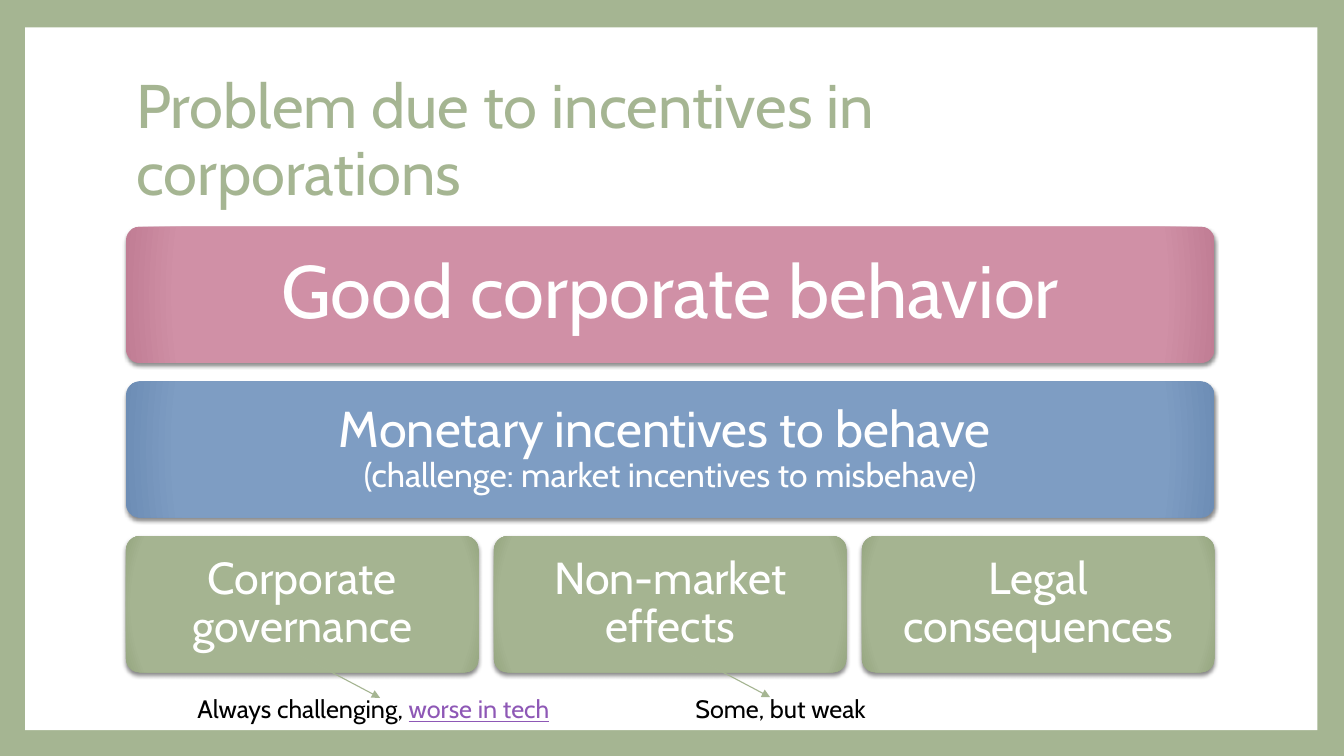
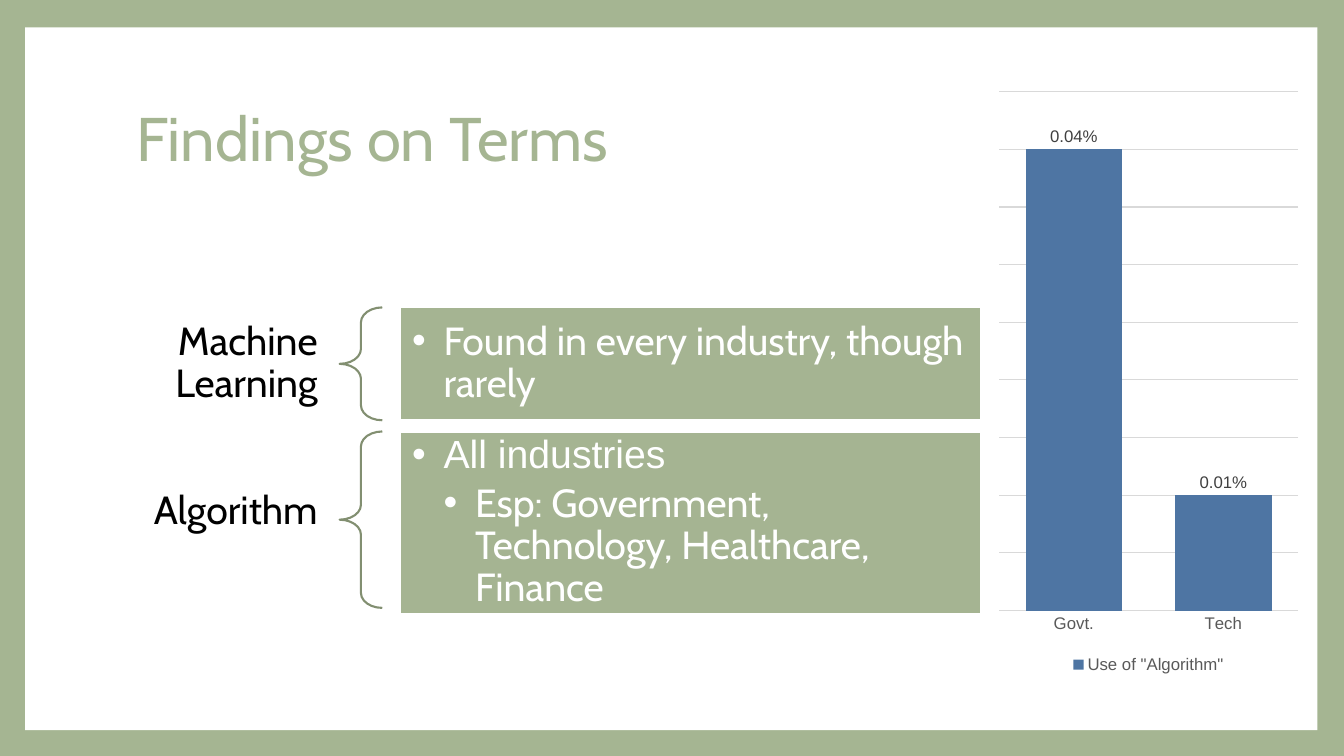
from lxml import etree
from pptx import Presentation
from pptx.chart.data import CategoryChartData
from pptx.dml.color import RGBColor
from pptx.enum.chart import XL_CHART_TYPE, XL_LABEL_POSITION, XL_LEGEND_POSITION, XL_TICK_MARK
from pptx.enum.shapes import MSO_CONNECTOR, MSO_SHAPE
from pptx.enum.text import MSO_ANCHOR, MSO_AUTO_SIZE, PP_ALIGN
from pptx.oxml.ns import qn
from pptx.util import Pt

RECT, ROUND, BRACE = MSO_SHAPE.RECTANGLE, MSO_SHAPE.ROUNDED_RECTANGLE, MSO_SHAPE.LEFT_BRACE
LEFT, MID, RIGHT = PP_ALIGN.LEFT, PP_ALIGN.CENTER, PP_ALIGN.RIGHT
TOP, CENTER = MSO_ANCHOR.TOP, MSO_ANCHOR.MIDDLE
FIXED = MSO_AUTO_SIZE.NONE
LINE = MSO_CONNECTOR.STRAIGHT
COLUMN = XL_CHART_TYPE.COLUMN_CLUSTERED
ABOVE, BELOW = XL_LABEL_POSITION.OUTSIDE_END, XL_LEGEND_POSITION.BOTTOM
NO_TICK = XL_TICK_MARK.NONE

SAGE = RGBColor(0xA5, 0xB5, 0x92)
LEAF = RGBColor(0xA5, 0xB4, 0x92)
MOSS = RGBColor(0x82, 0x8F, 0x71)
WHITE = RGBColor(0xFF, 0xFF, 0xFF)
BLACK = RGBColor(0, 0, 0)
VIOLET = RGBColor(0x8E, 0x58, 0xB6)
BLUE = RGBColor(0x4E, 0x75, 0xA3)
DARK = RGBColor(0x40, 0x40, 0x40)
GREY = RGBColor(0x59, 0x59, 0x59)
PALE = RGBColor(0xD9, 0xD9, 0xD9)
PINKS = [RGBColor(0xCF, 0x92, 0xA7), RGBColor(0xD0, 0x90, 0xA6), RGBColor(0xC0, 0x7D, 0x94)]
BLUES = [RGBColor(0x80, 0x9E, 0xC2), RGBColor(0x7E, 0x9D, 0xC3), RGBColor(0x6D, 0x8D, 0xB5)]
GREENS = [LEAF, RGBColor(0xA5, 0xB4, 0x91), RGBColor(0x95, 0xA5, 0x7F)]
STOPS = [0, 90, 100]

FONT, PLAIN = "Cabin", "Arial"
EDGE, SPAN = 90, 777.6

TIERS = [
    (PINKS, 53, 16, [["Good corporate behavior"]]),
    (BLUES, 36, 11, [[
        "Monetary incentives to behave ",
        "\n",
        ("(challenge: market incentives to misbehave)", {"size": 24}),
    ]]),
    (GREENS, 32, 9.4, [
        ["Corporate governance"],
        ["Non-market effects"],
        ["Legal consequences"],
    ]),
]
NOTES = [
    ((211, 466.5), 134, ["Always challenging, ", ("worse in tech", {"color": VIOLET, "under": True})]),
    ((489.6, 466), 489.6, ["Some, but weak"]),
]
TERMS = [
    {"name": "Machine Learning", "mid": 260, "top": 219.6, "brace": 80.6, "box": 80.6,
     "items": [(1, "Found in every industry, though rarely", FONT)]},
    {"name": "Algorithm", "mid": 365.5, "top": 308.2, "brace": 126, "box": 130.3,
     "items": [(1, "All industries", PLAIN),
               (2, "Esp: Government, Technology, Healthcare, Finance", FONT)]},
]
USES = {"Govt.": 0.0004, "Tech": 0.0001}


def node(up, tag, **attrs):
    return etree.SubElement(up, qn(tag), {k: str(v) for k, v in attrs.items()})


def props(shape):
    return shape.element.find(qn("p:spPr"))


def place(shape, x, y, w, h):
    shape.left, shape.top, shape.width, shape.height = Pt(x), Pt(y), Pt(w), Pt(h)


def style(font, size, color, face=FONT):
    font.size, font.name, font.color.rgb = Pt(size), face, color


def write(shape, paras, size=18, color=BLACK, face=FONT, align=LEFT,
          anchor=CENTER, pad=(7.2, 3.6), lead=0.9):
    frame = shape.text_frame
    frame.word_wrap, frame.auto_size, frame.vertical_anchor = True, FIXED, anchor
    frame.margin_left = frame.margin_right = Pt(pad[0])
    frame.margin_top = frame.margin_bottom = Pt(pad[1])
    for i, runs in enumerate(paras):
        para = frame.add_paragraph() if i else frame.paragraphs[0]
        para.alignment, para.line_spacing, para.space_before = align, lead, Pt(0)
        for part in runs:
            if part == "\n":
                para.add_line_break()
                continue
            words, form = (part, {}) if isinstance(part, str) else part
            run = para.add_run()
            run.text = words
            style(run.font, form.get("size", size), form.get("color", color), form.get("face", face))
            if form.get("under"):
                run.font.underline = True
    return frame


def bullet(para, level):
    para.level = level - 1
    if level > 1:
        para.space_before = Pt(4.2)
    pr = para._p.get_or_add_pPr()
    pr.set("marL", str(Pt(22.5 * level)))
    pr.set("indent", str(-Pt(22.5)))
    node(node(pr, "a:buClr"), "a:srgbClr", val=WHITE)
    node(pr, "a:buFont", typeface=PLAIN)
    node(pr, "a:buChar", char="•")


def label(slide, box, paras, **form):
    return write(slide.shapes.add_textbox(*map(Pt, box)), paras, **form)


def form(slide, kind, box, fill=None, line=None):
    shape = slide.shapes.add_shape(kind, *map(Pt, box))
    shape.shadow.inherit = False
    if fill is None:
        shape.fill.background()
    else:
        shape.fill.solid()
        shape.fill.fore_color.rgb = fill
    if line is None:
        shape.line.fill.background()
    else:
        shape.line.color.rgb, shape.line.width = line, Pt(1.5)
    return shape


def tile(slide, box, tones):
    shape = form(slide, ROUND, box)
    shape.adjustments[0] = 0.1
    pr = props(shape)
    grad = etree.Element(qn("a:gradFill"), {"rotWithShape": "1"})
    stops = node(grad, "a:gsLst")
    for pos, tone in zip(STOPS, tones):
        node(node(stops, "a:gs", pos=pos * 1000), "a:srgbClr", val=tone)
    half = 50000
    node(node(grad, "a:path", path="circle"), "a:fillToRect", l=half, t=half, r=half, b=half)
    pr.replace(pr.find(qn("a:noFill")), grad)
    shade = node(pr.find(qn("a:effectLst")), "a:outerShdw", blurRad=Pt(3), dist=Pt(2),
                 dir=5400000, algn="ctr", rotWithShape=0)
    node(node(shade, "a:srgbClr", val=BLACK), "a:alpha", val=45000)
    return shape


def arrow(slide, x, y, w, h):
    line = slide.shapes.add_connector(LINE, Pt(x), Pt(y), Pt(x + w), Pt(y + h))
    line.line.color.rgb, line.line.width = SAGE, Pt(0.79)
    pr = props(line)
    node(pr.find(qn("a:ln")), "a:tailEnd", type="triangle")
    node(pr, "a:effectLst")


def page(deck, layout, title):
    slide = deck.slides.add_slide(deck.slide_layouts[layout])
    place(slide.shapes.title, EDGE, 48, SPAN, 106.6)
    write(slide.shapes.title, [[title]], size=44, color=SAGE)
    return slide


def theme(deck, slide):
    master = deck.slide_master
    master.background.fill.solid()
    master.background.fill.fore_color.rgb = SAGE
    panel = form(slide, RECT, (18, 19.5, 923, 502), WHITE)
    panel.element.xpath("./p:nvSpPr/p:cNvPr")[0].set("id", "99")
    master.shapes.element.insert(2, panel.element)


def causes(deck):
    slide = page(deck, 5, "Problem due to incentives in corporations")
    theme(deck, slide)
    gap = 10.8
    for row, (tones, size, pad, cells) in enumerate(TIERS):
        wide = (SPAN - gap * (len(cells) - 1)) / len(cells)
        for col, runs in enumerate(cells):
            box = (EDGE + col * (wide + gap), 162 + row * 110.5, wide, 97.2)
            write(tile(slide, box, tones), [runs], size=size, color=WHITE, align=MID, pad=(pad, pad))
    for start, x, runs in NOTES:
        arrow(slide, *start, 60.5, 32)
        label(slide, (x, 491.8, 278.6, 29), [runs], anchor=TOP, lead=1.0)


def graph(slide):
    data = CategoryChartData(number_format="0.00%")
    data.categories = list(USES)
    data.add_series('Use of "Algorithm"', list(USES.values()))
    chart = slide.shapes.add_chart(COLUMN, Pt(709.2), Pt(57), Pt(222.5), Pt(427), data).chart
    chart.has_title = False
    style(chart.font, 10, BLACK, PLAIN)
    chart.has_legend = True
    chart.legend.position, chart.legend.include_in_layout = BELOW, False
    style(chart.legend.font, 12, GREY, PLAIN)
    cats, vals = chart.category_axis, chart.value_axis
    cats.major_tick_mark = cats.minor_tick_mark = NO_TICK
    style(cats.tick_labels.font, 12, GREY, PLAIN)
    vals.visible, vals.has_major_gridlines = False, True
    vals.minimum_scale, vals.maximum_scale, vals.major_unit = 0, 0.00045, 0.00005
    for rule in (cats.format.line, vals.major_gridlines.format.line):
        rule.color.rgb, rule.width = PALE, Pt(0.75)
    plot = chart.plots[0]
    plot.gap_width, plot.vary_by_categories = 55, False
    fill = plot.series[0].format.fill
    fill.solid()
    fill.fore_color.rgb = BLUE
    plot.has_data_labels = True
    tags = plot.data_labels
    tags.show_value, tags.position = True, ABOVE
    tags.number_format, tags.number_format_is_linked = "0.00%", False
    style(tags.font, 12, DARK, PLAIN)


def terms(deck):
    slide = page(deck, 3, "Findings on Terms")
    bodies = [p for p in slide.placeholders if p.placeholder_format.idx]
    for body, term in zip(bodies, TERMS):
        label(slide, (EDGE, term["mid"] - 36.7, 152.6, 73.4), [[term["name"]]],
              size=28, align=RIGHT, pad=(15.8, 5.8))
        brace = form(slide, BRACE, (242.6, term["top"], 30.5, term["brace"]), line=MOSS)
        brace.adjustments[0], brace.adjustments[1] = 0.35, 0.5
        place(body, 285.8, term["top"], 414.7, term["box"])
        body.fill.solid()
        body.fill.fore_color.rgb = LEAF
        body.line.color.rgb, body.line.width = WHITE, Pt(1.5)
        paras = [[(words, {"face": face})] for _, words, face in term["items"]]
        frame = write(body, paras, size=28, color=WHITE, pad=(8.6, 8.6))
        for para, item in zip(frame.paragraphs, term["items"]):
            bullet(para, item[0])
    graph(slide)


def main():
    deck = Presentation()
    deck.slide_width, deck.slide_height = Pt(960), Pt(540)
    causes(deck)
    terms(deck)
    deck.save("out.pptx")


if __name__ == "__main__":
    main()
